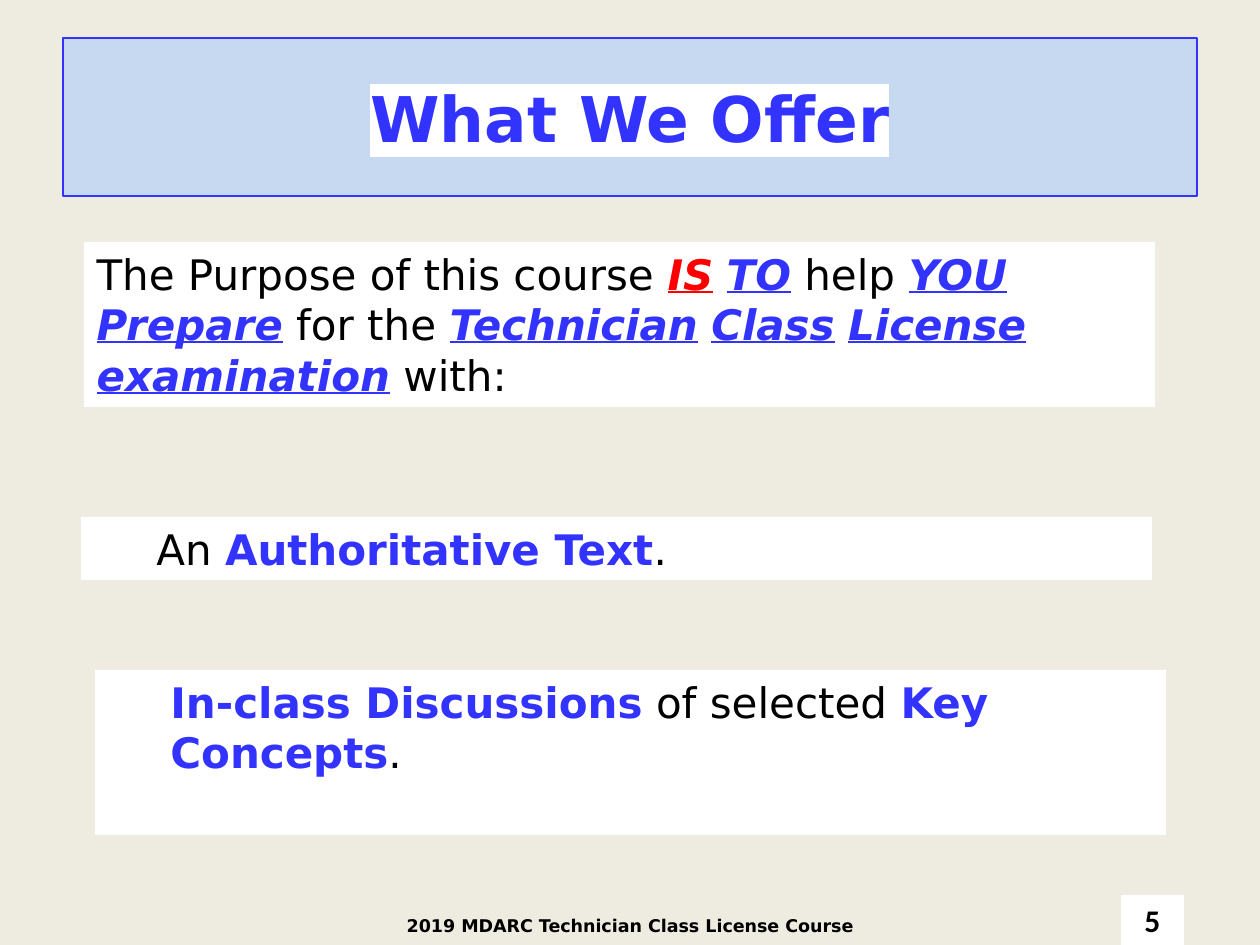
import pptx
import pptx.dml.color
import pptx.enum.text
import pptx.oxml.ns
import pptx.util
import lxml.etree

RGBColor = pptx.dml.color.RGBColor
Align = pptx.enum.text.PP_ALIGN
Anchor = pptx.enum.text.MSO_ANCHOR

BACKGROUND = RGBColor(0xEE, 0xEC, 0xE1)
BANNER = RGBColor(0xC6, 0xD9, 0xF1)
BLUE = RGBColor(0x33, 0x33, 0xFF)
RED = RGBColor(0xFF, 0x00, 0x00)
BLACK = RGBColor(0x00, 0x00, 0x00)
WHITE = RGBColor(0xFF, 0xFF, 0xFF)

EMU_PER_PX = 914400 / 126
BODY_FONT = "DejaVu Sans"
NUMBER_FONT = "Calibri"
INDENT = 63

# Run styles: colour, bold, italic and underlined
PLAIN = (BLACK, False, False)
BOLD = (BLACK, True, False)
KEY = (BLUE, True, False)
STRESS = (BLUE, True, True)
ALERT = (RED, True, True)


def px(length):
    return pptx.util.Emu(round(length * EMU_PER_PX))


class SlideBuilder:
    def __init__(self, slide):
        self.slide = slide
        background = slide.background.fill
        background.solid()
        background.fore_color.rgb = BACKGROUND

    def place(self, shape, box, fill=None):
        shape.left, shape.top, shape.width, shape.height = map(px, box)
        if fill is not None:
            shape.fill.solid()
            shape.fill.fore_color.rgb = fill

    def set_text(self, shape, runs, size, font=BODY_FONT, align=Align.LEFT,
                 anchor=Anchor.TOP, indent=0):
        frame = shape.text_frame
        frame.word_wrap = True
        frame.auto_size = pptx.enum.text.MSO_AUTO_SIZE.NONE
        frame.vertical_anchor = anchor
        paragraph = frame.paragraphs[0]
        paragraph.alignment = align
        paragraph.space_before = pptx.util.Pt(0)
        paragraph.font.size = pptx.util.Pt(size)
        paragraph.font.name = font
        for text, (color, bold, stressed) in runs:
            run = paragraph.add_run()
            run.text = text
            run.font.color.rgb = color
            run.font.bold = bold
            if stressed:
                run.font.italic = run.font.underline = True
        # Left margin without a bullet
        properties = paragraph._p.get_or_add_pPr()
        properties.set("marL", str(px(indent)))
        properties.set("indent", "0")
        no_bullet = lxml.etree.Element(pptx.oxml.ns.qn("a:buNone"))
        properties.find(pptx.oxml.ns.qn("a:defRPr")).addprevious(no_bullet)

    def title(self, text, box):
        shape = self.slide.shapes.title
        self.place(shape, box, BANNER)
        shape.line.color.rgb = BLUE
        shape.line.width = pptx.util.Pt(0.75)
        self.set_text(shape, [(text, KEY)], 36, align=Align.CENTER, anchor=Anchor.MIDDLE)
        # White highlight behind the words
        run = shape.text_frame.paragraphs[0].runs[0]
        properties = run._r.get_or_add_rPr()
        highlight = lxml.etree.Element(pptx.oxml.ns.qn("a:highlight"))
        lxml.etree.SubElement(highlight, pptx.oxml.ns.qn("a:srgbClr"), val=str(WHITE))
        properties.find(pptx.oxml.ns.qn("a:solidFill")).addnext(highlight)

    def body(self, runs, box):
        shape = self.slide.placeholders[1]
        self.place(shape, box, WHITE)
        self.set_text(shape, runs, 24)

    def text_box(self, runs, box, size, fill=None, **layout):
        shape = self.slide.shapes.add_textbox(*map(px, box))
        self.place(shape, box, fill)
        self.set_text(shape, runs, size, **layout)


def main():
    presentation = pptx.Presentation()
    presentation.slide_width = px(1260)
    presentation.slide_height = px(945)
    builder = SlideBuilder(presentation.slides.add_slide(presentation.slide_layouts[1]))

    # Heading and purpose
    builder.title("What We Offer", (63, 38, 1134, 158))
    builder.body([
        ("The Purpose of this course ", PLAIN), ("IS", ALERT),
        (" ", PLAIN), ("TO", STRESS),
        (" help ", PLAIN), ("YOU", STRESS),
        (" ", PLAIN), ("Prepare", STRESS),
        (" for the ", PLAIN), ("Technician", STRESS),
        (" ", PLAIN), ("Class", STRESS),
        (" ", PLAIN), ("License", STRESS),
        (" ", PLAIN), ("examination", STRESS),
        (" with:", PLAIN),
    ], (84, 242, 1071, 165))

    # What the course provides
    builder.text_box([("An ", PLAIN), ("Authoritative Text", KEY), (".", PLAIN)],
                     (81, 517, 1071, 63), 24, WHITE, indent=INDENT)
    builder.text_box([("In-class Discussions", KEY), (" of selected ", PLAIN),
                      ("Key Concepts", KEY), (".", PLAIN)],
                     (95, 670, 1071, 165), 24, WHITE, indent=INDENT)

    # Slide number and footer
    centred = {"align": Align.CENTER, "anchor": Anchor.MIDDLE}
    builder.text_box([("5", BOLD)], (1121, 895, 63, 50), 18, WHITE,
                     font=NUMBER_FONT, **centred)
    builder.text_box([("2019 MDARC Technician Class License Course", BOLD)],
                     (378, 907, 504, 38), 10, **centred)

    presentation.save("out.pptx")


if __name__ == "__main__":
    main()
